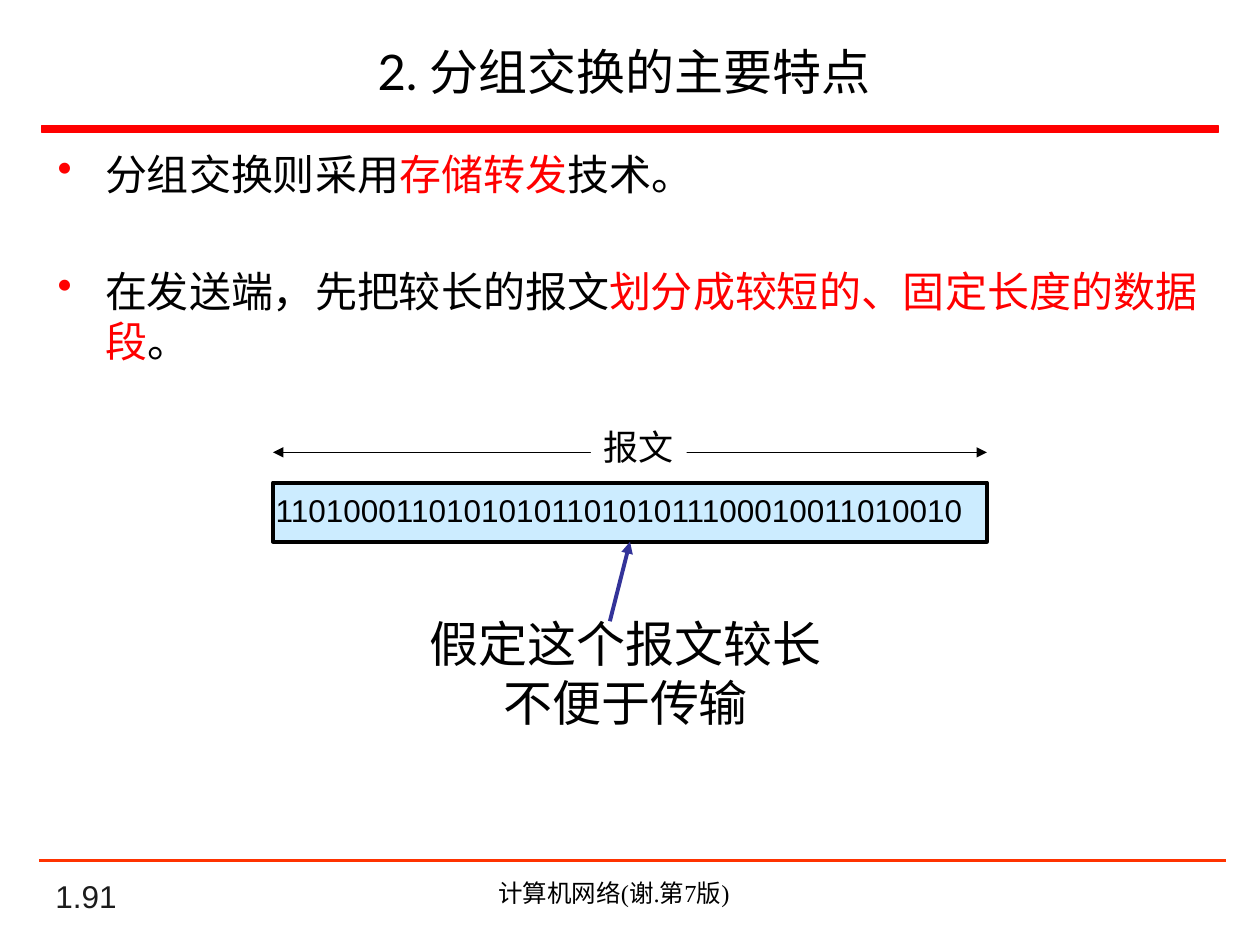
from lxml import etree
from pptx import Presentation
from pptx.dml.color import RGBColor
from pptx.enum import shapes, text
from pptx.oxml import ns
from pptx.util import Pt

BLACK = RGBColor(0, 0, 0)
WHITE = RGBColor(0xFF, 0xFF, 0xFF)
RED = RGBColor(0xFF, 0, 0)
ORANGE = RGBColor(0xFF, 0x33, 0)
NAVY = RGBColor(0x33, 0x33, 0x99)
SKY = RGBColor(0xCC, 0xEC, 0xFF)
GREY = RGBColor(0x1C, 0x1C, 0x1C)

# Content: bullets are lists of (wording, colour)
TITLE = "2. 分组交换的主要特点 "
BULLETS = [
    [("分组交换则采用", BLACK), ("存储转发", RED), ("技术。", BLACK)],
    [("在发送端，先把较长的报文", BLACK),
     ("划分成较短的、固定长度的数据段", RED), ("。", BLACK)],
]
MESSAGE_LABEL = "报文"
BITS = "1101000110101010110101011100010011010010"
REMARK = ["假定这个报文较长", "不便于传输"]
PAGE, FOOTER = "1.91", "计算机网络(谢.第7版)"

# Message bar geometry
BAR_LEFT, BAR_TOP, BAR_WIDTH, BAR_HEIGHT = 156, 275.8, 408, 33.8
SEGMENTS = 3

prs = Presentation()
prs.slide_width, prs.slide_height = Pt(720), Pt(540)
slide = prs.slides.add_slide(prs.slide_layouts[6])


def add_rect(left, top, width, height, fill=None, line=None, weight=1):
    rect = slide.shapes.add_shape(shapes.MSO_SHAPE.RECTANGLE,
                                  Pt(left), Pt(top), Pt(width), Pt(height))
    rect.shadow.inherit = False
    if fill is None:
        rect.fill.background()
    else:
        rect.fill.solid()
        rect.fill.fore_color.rgb = fill
    if line is None:
        rect.line.fill.background()
    else:
        rect.line.color.rgb = line
        rect.line.width = Pt(weight)
    return rect


def add_line(start, end, color, weight, arrows=()):
    line = slide.shapes.add_connector(shapes.MSO_CONNECTOR.STRAIGHT,
                                      *map(Pt, start + end))
    line.line.color.rgb = color
    line.line.width = Pt(weight)
    for arrow in arrows:
        etree.SubElement(line.line._ln, ns.qn("a:" + arrow), type="triangle")
    etree.SubElement(line._element.spPr, ns.qn("a:effectLst"))


def write(shape, lines, font, size, color=BLACK, align=text.PP_ALIGN.LEFT,
          anchor=text.MSO_ANCHOR.TOP, wrap=True):
    frame = shape.text_frame
    frame.word_wrap = wrap
    if not wrap:
        frame.auto_size = text.MSO_AUTO_SIZE.SHAPE_TO_FIT_TEXT
    frame.vertical_anchor = anchor
    frame.text = "\n".join(lines)
    for paragraph in frame.paragraphs:
        paragraph.alignment = align
        paragraph.font.name = font
        paragraph.font.size = Pt(size)
        paragraph.font.color.rgb = color


def add_text(box, lines, font, size, **style):
    write(slide.shapes.add_textbox(*map(Pt, box)), lines, font, size, **style)


def add_bullets(box, bullets):
    frame = slide.shapes.add_textbox(*map(Pt, box)).text_frame
    frame.word_wrap = True
    for i, parts in enumerate(bullets):
        paragraph = frame.paragraphs[0] if i == 0 else frame.add_paragraph()
        if i:
            paragraph.space_before = Pt(38)
        props = paragraph._p.get_or_add_pPr()
        props.set("marL", str(Pt(27)))
        props.set("indent", str(Pt(-27)))
        bullet_color = etree.SubElement(props, ns.qn("a:buClr"))
        etree.SubElement(bullet_color, ns.qn("a:srgbClr"), val=str(RED))
        etree.SubElement(props, ns.qn("a:buChar"), char="•")
        paragraph.font.name = "Lato"
        paragraph.font.size = Pt(24)
        for wording, color in parts:
            run = paragraph.add_run()
            run.text = wording
            run.font.color.rgb = color


CENTER = text.PP_ALIGN.CENTER

# Footer and rules
add_text((24.5, 502.6, 149.8, 23.8), [PAGE], "Arial", 18, color=GREY,
         anchor=text.MSO_ANCHOR.BOTTOM)
add_rect(23.8, 72, 672.5, 3.6, fill=RED, line=RED)
add_line((22.3, 491.8), (700.6, 491.8), ORANGE, 1.5)
add_text((203.8, 498.2, 293.8, 24.5), [FOOTER], "Times New Roman", 14,
         align=CENTER)

# Title and bullets
add_text((28.1, 15.8, 663.1, 49.7), [TITLE], "Lato", 28, align=CENTER,
         anchor=text.MSO_ANCHOR.MIDDLE)
add_bullets((25.9, 81.4, 666, 155.5), BULLETS)

# Message length arrow with its label
add_line((BAR_LEFT, 258.5), (BAR_LEFT + BAR_WIDTH, 258.5), BLACK, 0.75,
         arrows=("headEnd", "tailEnd"))
write(add_rect(337.7, 239.8, 54.7, 31, fill=WHITE), [MESSAGE_LABEL],
      "Times New Roman", 20, wrap=False)

# Message bar: equal segments, outline, bits
segment = BAR_WIDTH / SEGMENTS
for i in range(SEGMENTS):
    add_rect(BAR_LEFT + i * segment, BAR_TOP, segment, BAR_HEIGHT, fill=SKY)
add_rect(BAR_LEFT, BAR_TOP, BAR_WIDTH, BAR_HEIGHT, line=BLACK, weight=2.25)
add_text((150.5, 277.2, 414.7, 28.8), [BITS], "Arial", 18, wrap=False)

# Remark pointing at the bar
add_text((238.3, 347, 238.3, 74.2), REMARK, "Lato", 28, align=CENTER,
         wrap=False)
add_line((348.5, 355), (360, BAR_TOP + BAR_HEIGHT), NAVY, 2.25,
         arrows=("tailEnd",))

prs.save("out.pptx")
